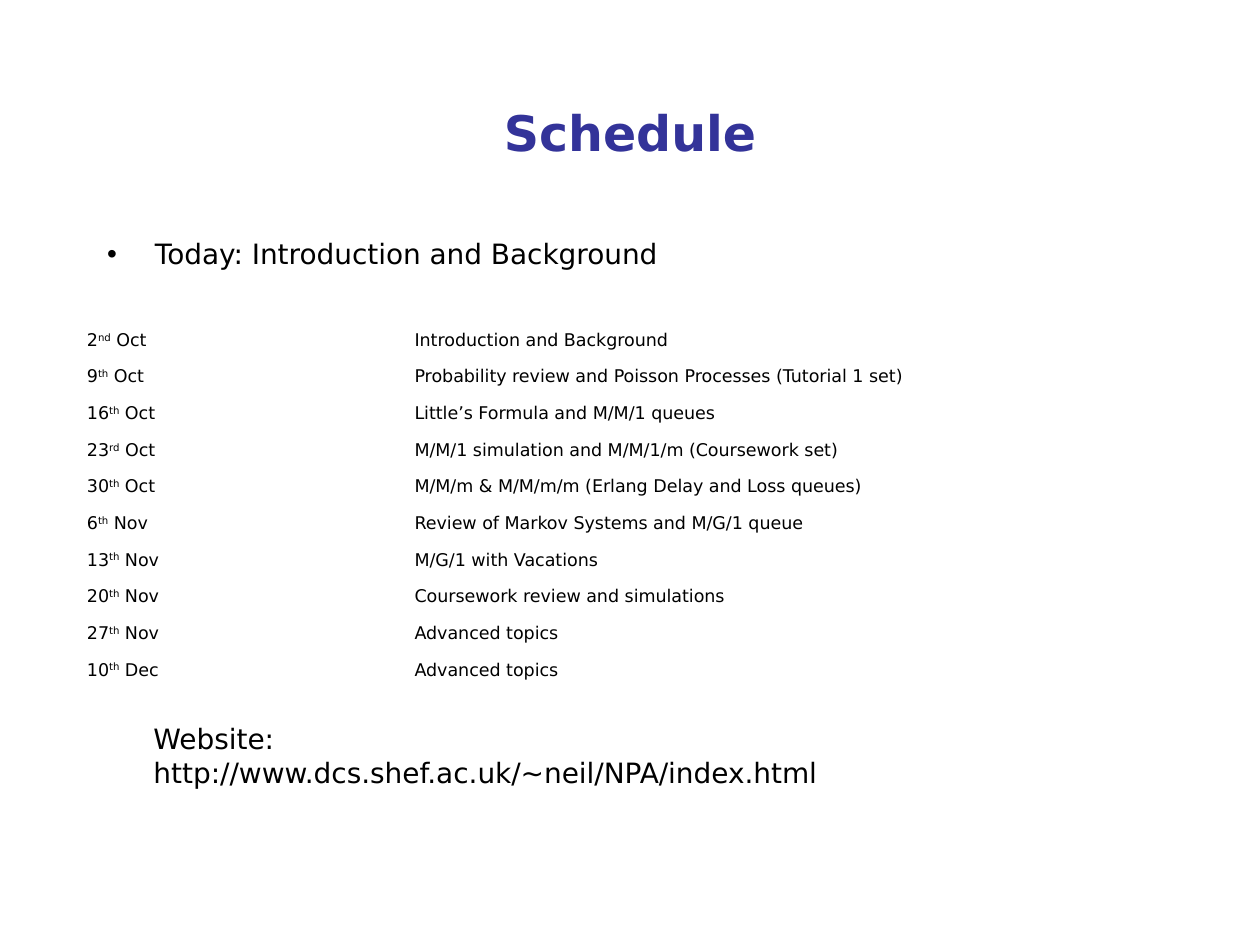
from dataclasses import dataclass

from lxml import etree
from pptx import Presentation, util as u
from pptx.dml.color import RGBColor
from pptx.enum import text
from pptx.oxml import ns


@dataclass(frozen=True)
class Theme:
    font: str = "DejaVu Sans"
    heading: str = "333399"
    ink: str = "000000"
    title_size: int = 28
    body_size: int = 16
    table_size: int = 10


@dataclass(frozen=True)
class Box:
    col: float
    row: float
    cols: float
    rows: float


@dataclass(frozen=True)
class Session:
    day: str
    suffix: str
    month: str
    topic: str


THEME = Theme()
WIDTH, HEIGHT = u.Inches(10), u.Inches(7.5)
GRID_COLS, GRID_ROWS = 100, 75
DATE_COLS = 26
INDENT = u.Inches(0.38)

TITLE = Box(7.5, 4.2, 85, 12.5)
BODY = Box(7.5, 18.3, 85, 20.7)
TABLE = Box(5.9, 25.7, 90, 29.1)
WEBSITE = Box(11.2, 56.8, 61.6, 3.7)

SESSIONS = [
    Session("2", "nd", "Oct", "Introduction and Background"),
    Session("9", "th", "Oct", "Probability review and Poisson Processes (Tutorial 1 set)"),
    Session("16", "th", "Oct", "Little’s Formula and M/M/1 queues"),
    Session("23", "rd", "Oct", "M/M/1 simulation and M/M/1/m (Coursework set)"),
    Session("30", "th", "Oct", "M/M/m & M/M/m/m (Erlang Delay and Loss queues)"),
    Session("6", "th", "Nov", "Review of Markov Systems and M/G/1 queue"),
    Session("13", "th", "Nov", "M/G/1 with Vacations"),
    Session("20", "th", "Nov", "Coursework review and simulations"),
    Session("27", "th", "Nov", "Advanced topics"),
    Session("10", "th", "Dec", "Advanced topics"),
]


def across(cols: float) -> int:
    return round(WIDTH * cols / GRID_COLS)


def down(rows: float) -> int:
    return round(HEIGHT * rows / GRID_ROWS)


def bounds(box: Box) -> tuple[int, int, int, int]:
    return across(box.col), down(box.row), across(box.cols), down(box.rows)


def style(p, size: int, color: str = THEME.ink, bold: bool = False) -> None:
    for r in p.runs:
        r.font.name = THEME.font
        r.font.size = u.Pt(size)
        r.font.bold = bold
        r.font.color.rgb = RGBColor.from_string(color)


def fill_placeholder(sp, box: Box, words: str):
    sp.left, sp.top, sp.width, sp.height = bounds(box)
    tf = sp.text_frame
    tf.text = words
    tf.auto_size = text.MSO_AUTO_SIZE.NONE
    p = tf.paragraphs[0]
    p.space_before = u.Pt(0)
    return p


def add_bullet(p) -> None:
    pPr = p._p.get_or_add_pPr()
    pPr.set("marL", str(INDENT))
    pPr.set("indent", str(-INDENT))
    etree.SubElement(pPr, ns.qn("a:buChar")).set("char", "•")


def write_date(p, session: Session) -> None:
    for words in (session.day, session.suffix, f" {session.month}"):
        p.add_run().text = words
    style(p, THEME.table_size)
    p.runs[1]._r.get_or_add_rPr().set("baseline", "30000")


def add_schedule(s, box: Box, sessions: list[Session]) -> None:
    table = s.shapes.add_table(len(sessions), 2, *bounds(box)).table
    table.first_row = table.horz_banding = False
    table.columns[0].width = across(DATE_COLS)
    table.columns[1].width = across(box.cols - DATE_COLS)
    for row, session in zip(table.rows, sessions):
        row.height = down(box.rows / len(sessions))
        date, topic = row.cells
        write_date(date.text_frame.paragraphs[0], session)
        topic.text_frame.text = session.topic
        style(topic.text_frame.paragraphs[0], THEME.table_size)
        for cell in (date, topic):
            cell.fill.background()


def add_note(s, box: Box, words: str) -> None:
    tf = s.shapes.add_textbox(*bounds(box)).text_frame
    tf.word_wrap = True
    tf.text = words
    style(tf.paragraphs[0], THEME.body_size)


def main() -> None:
    prs = Presentation()
    prs.slide_width, prs.slide_height = WIDTH, HEIGHT
    s = prs.slides.add_slide(prs.slide_layouts[1])

    p = fill_placeholder(s.shapes.title, TITLE, "Schedule")
    p.alignment = text.PP_ALIGN.CENTER
    style(p, THEME.title_size, THEME.heading, bold=True)

    p = fill_placeholder(s.placeholders[1], BODY, "Today: Introduction and Background")
    add_bullet(p)
    style(p, THEME.body_size)

    add_schedule(s, TABLE, SESSIONS)
    add_note(s, WEBSITE, "Website: http://www.dcs.shef.ac.uk/~neil/NPA/index.html")
    prs.save("out.pptx")


if __name__ == "__main__":
    main()
